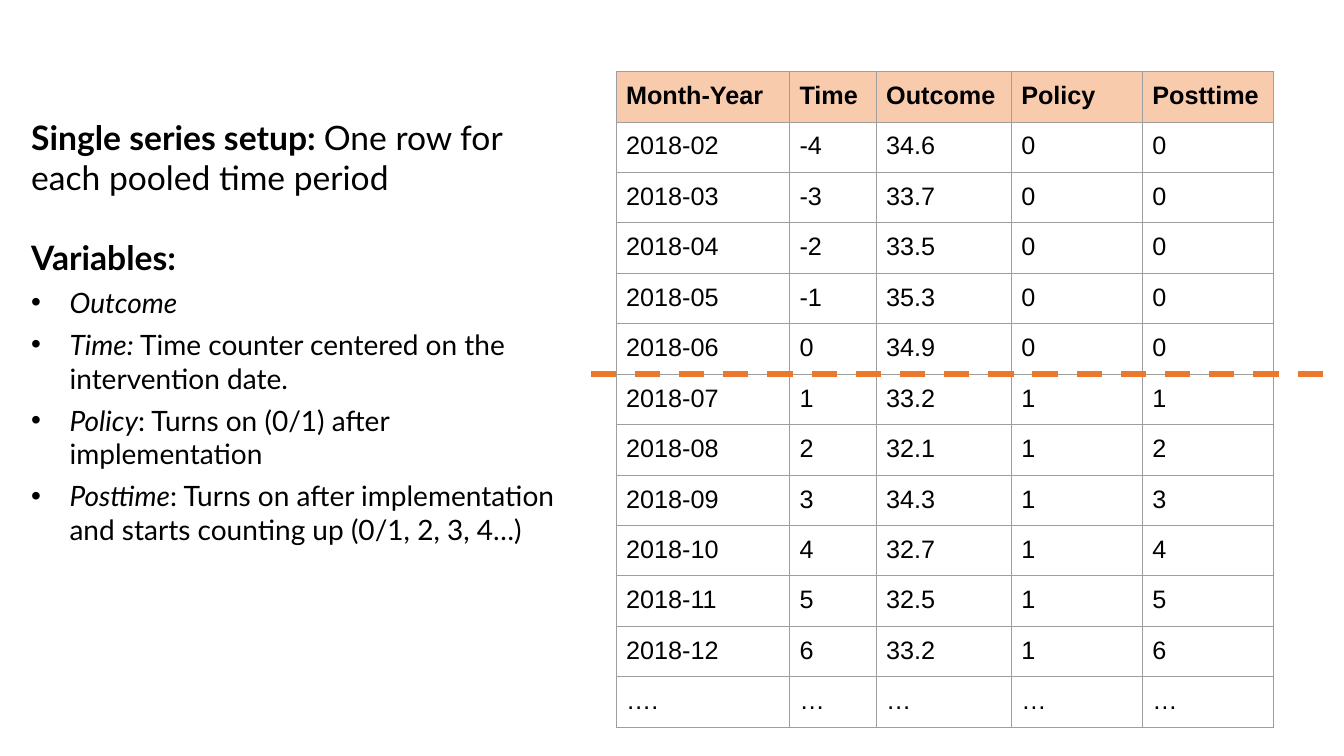
"""Build the single series setup slide with its variables list and data table."""
from dataclasses import dataclass

from lxml.etree import SubElement
from pptx import Presentation
from pptx.dml.color import RGBColor
from pptx.enum.dml import MSO_LINE
from pptx.enum.shapes import MSO_CONNECTOR
from pptx.enum.text import MSO_ANCHOR, MSO_AUTO_SIZE, PP_ALIGN
from pptx.oxml import parse_xml
from pptx.oxml.ns import nsdecls, qn
from pptx.slide import Slide
from pptx.table import _Cell
from pptx.text.text import TextFrame, _Paragraph
from pptx.util import Emu, Pt


def px(length: int) -> Emu:
    """Turn a length in px, 100 to the inch, into EMU."""
    return Emu(length * 9144)


@dataclass(frozen=True)
class Theme:
    """Colours, fonts and type sizes of the slide."""
    ink: RGBColor = RGBColor(0x00, 0x00, 0x00)
    header_fill: RGBColor = RGBColor(0xF8, 0xCB, 0xAD)
    intervention: RGBColor = RGBColor(0xEC, 0x79, 0x2B)
    grid: str = "9E9E9E"
    grid_width: Pt = Pt(0.75)
    intervention_width: Pt = Pt(4.5)
    list_font: str = "Lato"
    table_font: str = "Arial"
    heading_size: Pt = Pt(24)
    bullet_size: Pt = Pt(20)
    table_size: Pt = Pt(18)


@dataclass(frozen=True)
class Span:
    """A stretch of text in one style."""
    text: str
    bold: bool = False
    italic: bool = False


@dataclass(frozen=True)
class Line:
    """A paragraph of the list, as heading or bullet."""
    spans: tuple[Span, ...]
    bulleted: bool = True
    space_before: int = 6


@dataclass(frozen=True)
class Column:
    """A table column with its heading, width and values."""
    heading: str
    width: int
    values: tuple[str, ...]


THEME = Theme()
LINES = (
    Line((Span("Single series setup: ", bold=True),
          Span("One row for each pooled time period")), False, 0),
    Line((Span("Variables:", bold=True),), False, 28),
    Line((Span("Outcome", italic=True),)),
    Line((Span("Time:", italic=True),
          Span(" Time counter centered on the intervention date."))),
    Line((Span("Policy", italic=True), Span(": Turns on (0/1) after implementation"))),
    Line((Span("Posttime", italic=True),
          Span(": Turns on after implementation and starts counting up (0/1, 2, 3, 4…)"))),
)
MONTHS = range(2, 13)
TIMES = [month - 6 for month in MONTHS]
OUTCOMES = (34.6, 33.7, 33.5, 35.3, 34.9, 33.2, 32.1, 34.3, 32.7, 32.5, 33.2)
COLUMNS = (
    Column("Month-Year", 172, (*(f"2018-{month:02}" for month in MONTHS), "….")),
    Column("Time", 86, (*map(str, TIMES), "…")),
    Column("Outcome", 134, (*map(str, OUTCOMES), "…")),
    Column("Policy", 130, (*(str(int(time > 0)) for time in TIMES), "…")),
    Column("Posttime", 130, (*(str(max(time, 0)) for time in TIMES), "…")),
)


def add_span(paragraph: _Paragraph, span: Span, font: str, size: Pt) -> None:
    """Add one styled run to a paragraph."""
    run = paragraph.add_run()
    run.text = span.text
    run.font.name = font
    run.font.size = size
    run.font.bold = span.bold
    run.font.italic = span.italic
    run.font.color.rgb = THEME.ink


def write_line(paragraph: _Paragraph, line: Line) -> None:
    """Format one list paragraph and fill it."""
    paragraph.alignment = PP_ALIGN.LEFT
    paragraph.line_spacing = 1.0
    paragraph.space_before = Pt(line.space_before)
    indent = px(38) if line.bulleted else 0
    properties = paragraph._p.get_or_add_pPr()
    properties.set("marL", str(indent))
    properties.set("indent", str(-indent))
    if not line.bulleted:
        SubElement(properties, qn("a:buNone"))
    size = THEME.bullet_size if line.bulleted else THEME.heading_size
    for span in line.spans:
        add_span(paragraph, span, THEME.list_font, size)


def write_list(frame: TextFrame) -> None:
    """Fill the body placeholder with the setup and its variables."""
    frame.word_wrap = True
    frame.auto_size = MSO_AUTO_SIZE.SHAPE_TO_FIT_TEXT
    frame.vertical_anchor = MSO_ANCHOR.TOP
    frame.margin_left = frame.margin_right = px(10)
    frame.margin_top = frame.margin_bottom = px(5)
    for index, line in enumerate(LINES):
        write_line(frame.add_paragraph() if index else frame.paragraphs[0], line)


def write_cell(cell: _Cell, text: str, is_header: bool) -> None:
    """Fill, border and write one table cell."""
    cell.margin_left = cell.margin_right = px(10)
    cell.margin_top = cell.margin_bottom = px(10)
    if is_header:
        cell.fill.solid()
        cell.fill.fore_color.rgb = THEME.header_fill
    else:
        cell.fill.background()
    properties = cell._tc.get_or_add_tcPr()
    for position, side in enumerate(("lnL", "lnR", "lnT", "lnB")):
        properties.insert(position, parse_xml(
            f'<a:{side} {nsdecls("a")} w="{THEME.grid_width}"><a:solidFill>'
            f'<a:srgbClr val="{THEME.grid}"/></a:solidFill></a:{side}>'))
    add_span(cell.text_frame.paragraphs[0], Span(text, bold=is_header),
             THEME.table_font, THEME.table_size)


def add_series(slide: Slide) -> None:
    """Add the table of monthly observations."""
    row_count = len(COLUMNS[0].values) + 1
    width = sum(column.width for column in COLUMNS)
    series = slide.shapes.add_table(
        row_count, len(COLUMNS), px(611), px(71), px(width), px(48 * row_count)).table
    series.horz_banding = False
    for row in series.rows:
        row.height = px(48)
    for column_index, column in enumerate(COLUMNS):
        series.columns[column_index].width = px(column.width)
        for row_index, text in enumerate((column.heading, *column.values)):
            write_cell(series.cell(row_index, column_index), text, row_index == 0)


def add_intervention(slide: Slide) -> None:
    """Add the dashed line that marks the intervention."""
    intervention = slide.shapes.add_connector(
        MSO_CONNECTOR.STRAIGHT, px(1312), px(371), px(580), px(371))
    intervention.line.color.rgb = THEME.intervention
    intervention.line.width = THEME.intervention_width
    intervention.line.dash_style = MSO_LINE.DASH
    SubElement(intervention._element.spPr, qn("a:effectLst"))


def main() -> None:
    """Build the slide and save it."""
    deck = Presentation()
    deck.slide_width, deck.slide_height = px(1333), px(750)
    slide = deck.slides.add_slide(deck.slide_layouts[1])
    title, variables = slide.placeholders
    title.element.getparent().remove(title.element)
    variables.left, variables.top = px(21), px(111)
    variables.width, variables.height = px(560), px(475)
    write_list(variables.text_frame)
    add_series(slide)
    add_intervention(slide)
    deck.save("out.pptx")


if __name__ == "__main__":
    main()
